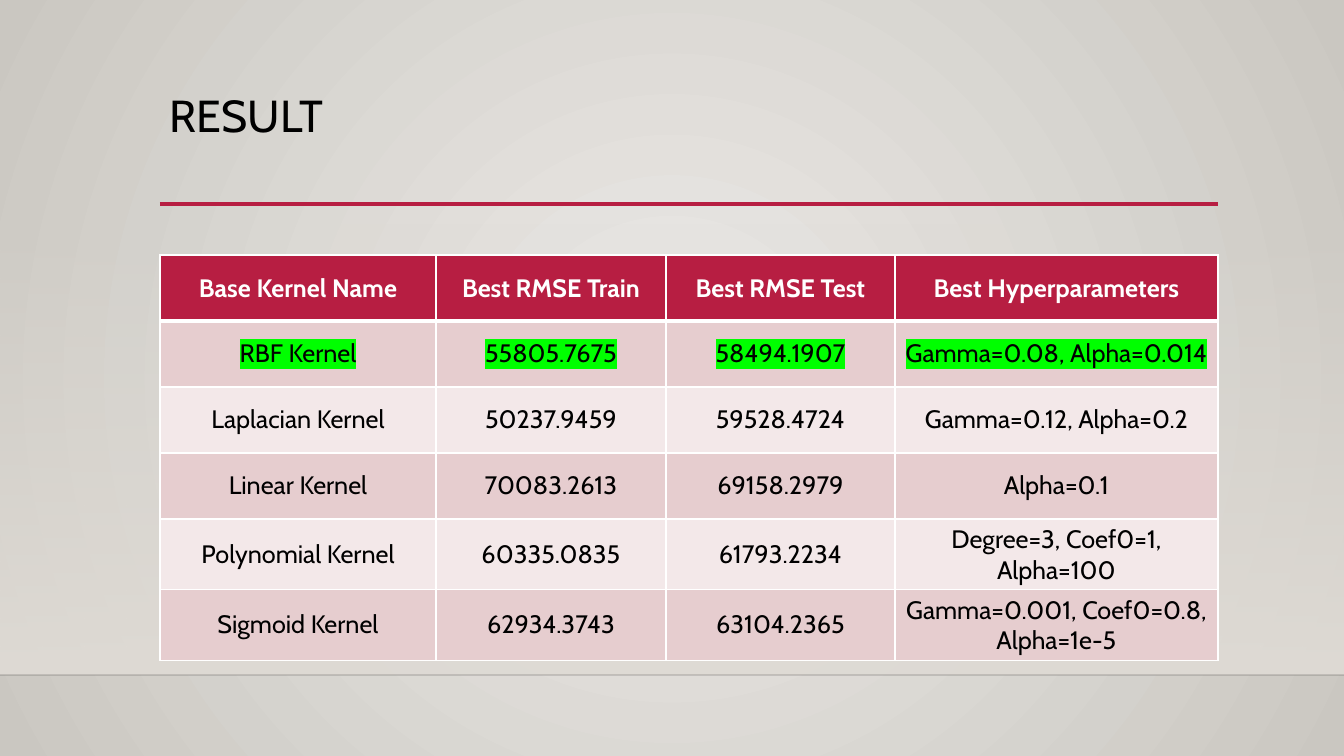
from pptx import Presentation
from pptx.dml.color import RGBColor
from pptx.enum.shapes import MSO_CONNECTOR, MSO_SHAPE
from pptx.enum.text import MSO_ANCHOR, PP_ALIGN
from pptx.oxml.ns import qn
from pptx.util import Pt
from lxml.etree import SubElement

PX = 12192000 / 1344
W, H = 1344, 756
FONT = "Cabin"

BLACK = RGBColor(0x00, 0x00, 0x00)
WHITE = RGBColor(0xFF, 0xFF, 0xFF)
CRIMSON = RGBColor(0xB7, 0x1E, 0x42)
ROSE = RGBColor(0xE6, 0xCD, 0xCF)
PALE_ROSE = RGBColor(0xF3, 0xE8, 0xE9)
GREEN = RGBColor(0x00, 0xFF, 0x00)
CENTRE_GREY = RGBColor(0xEC, 0xEA, 0xE7)
EDGE_GREY = RGBColor(0xCA, 0xC7, 0xC1)
FLOOR_GREY = RGBColor(0xDF, 0xDB, 0xD5)

ROWS = [
    ("Base Kernel Name", "Best RMSE Train", "Best RMSE Test", "Best Hyperparameters"),
    ("RBF Kernel", "55805.7675", "58494.1907", "Gamma=0.08, Alpha=0.014"),
    ("Laplacian Kernel", "50237.9459", "59528.4724", "Gamma=0.12, Alpha=0.2"),
    ("Linear Kernel", "70083.2613", "69158.2979", "Alpha=0.1"),
    ("Polynomial Kernel", "60335.0835", "61793.2234", "Degree=3, Coef0=1, Alpha=100"),
    ("Sigmoid Kernel", "62934.3743", "63104.2365", "Gamma=0.001, Coef0=0.8, Alpha=1e-5"),
]
BEST_ROW = 1
COL_WIDTHS = (276, 230, 229, 323)
ROW_HEIGHT = 66


def emu(*lengths):
    return [round(n * PX) for n in lengths]


def set_alpha(color_el, percent):
    SubElement(color_el, qn("a:alpha"), val=str(percent * 1000))


def set_stops(fill, *colors):
    fill.gradient()
    for stop, color in zip(fill.gradient_stops, colors):
        stop.color.rgb = color


def add_rule(s, x, y, w, color, width):
    line = s.shapes.add_connector(MSO_CONNECTOR.STRAIGHT, *emu(x, y, x + w, y))
    line.line.color.rgb = color
    line.line.width = Pt(width)
    SubElement(line._element.spPr, qn("a:effectLst"))
    return line


def add_backdrop(s, x, y, w, h):
    fill = s.background.fill
    set_stops(fill, CENTRE_GREY, EDGE_GREY)
    grad = s._element.find(".//" + qn("a:gradFill"))
    grad.remove(grad.find(qn("a:lin")))
    radial = SubElement(grad, qn("a:path"), path="circle")
    SubElement(radial, qn("a:fillToRect"), l="50000", t="50000", r="50000", b="50000")

    top, height = y + 223, 452
    wall = s.shapes.add_shape(MSO_SHAPE.RECTANGLE, *emu(x, top, w, height))
    wall.shadow.inherit = False
    wall.line.fill.background()
    set_stops(wall.fill, FLOOR_GREY, FLOOR_GREY)
    wall.fill.gradient_angle = 270
    set_alpha(wall._element.spPr.find(".//" + qn("a:srgbClr")), 0)

    floor = add_rule(s, x, top + height, w, BLACK, 1)
    set_alpha(floor._element.spPr.find(".//" + qn("a:srgbClr")), 20)


def add_title(s, x, y, w, h, text):
    add_rule(s, x, y + h - 1, w, CRIMSON, 2.5)
    tf = s.shapes.add_textbox(*emu(x, y, w, h)).text_frame
    tf.word_wrap = True
    tf.vertical_anchor = MSO_ANCHOR.TOP
    p = tf.paragraphs[0]
    p.text = text
    p.line_spacing = 0.9
    p.font.size = Pt(32)
    p.font.name = FONT
    p.font.color.rgb = BLACK


def set_borders(cell, top, bottom):
    tc_pr = cell._tc.get_or_add_tcPr()
    for side, width in (("L", 1), ("R", 1), ("T", top), ("B", bottom)):
        ln = SubElement(tc_pr, qn("a:ln" + side), w=str(Pt(width)))
        solid = SubElement(ln, qn("a:solidFill"))
        SubElement(solid, qn("a:srgbClr"), val=str(WHITE))


def highlight(r):
    mark = SubElement(r._r.get_or_add_rPr(), qn("a:highlight"))
    SubElement(mark, qn("a:srgbClr"), val=str(GREEN))


def fill_cell(cell, text, row):
    header = row == 0
    set_borders(cell, 3 if row == 1 else 1, 3 if header else 1)
    cell.fill.solid()
    cell.fill.fore_color.rgb = CRIMSON if header else ROSE if row % 2 else PALE_ROSE
    cell.vertical_anchor = MSO_ANCHOR.MIDDLE
    p = cell.text_frame.paragraphs[0]
    p.alignment = PP_ALIGN.CENTER
    p.font.size = Pt(18)
    p.font.name = FONT
    p.font.bold = header
    p.font.color.rgb = WHITE if header else BLACK
    r = p.add_run()
    r.text = text
    if row == BEST_ROW:
        highlight(r)


def add_results(s, x, y, w):
    box = emu(x, y, w, ROW_HEIGHT * len(ROWS))
    table = s.shapes.add_table(len(ROWS), len(COL_WIDTHS), *box).table
    table.horz_banding = False
    for col, width in zip(table.columns, emu(*COL_WIDTHS)):
        col.width = width
    for i, values in enumerate(ROWS):
        for j, text in enumerate(values):
            fill_cell(table.cell(i, j), text, i)


def main():
    prs = Presentation()
    prs.slide_width, prs.slide_height = emu(W, H)
    s = prs.slides.add_slide(prs.slide_layouts[6])
    left, width = 160, sum(COL_WIDTHS)
    add_backdrop(s, 0, 0, W, H)
    add_title(s, left, 89, width, 116, "RESULT")
    add_results(s, left, 255, width)
    prs.save("out.pptx")


if __name__ == "__main__":
    main()
